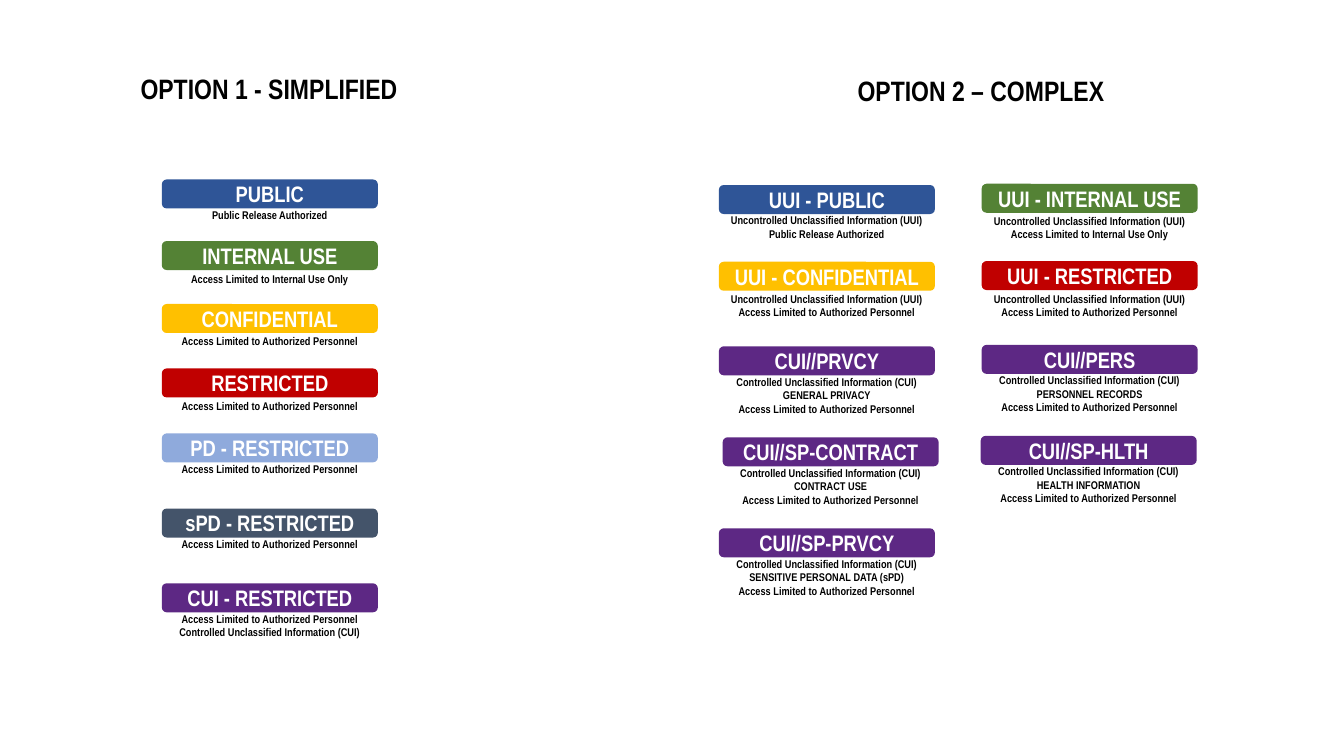
from dataclasses import dataclass

from pptx import Presentation
from pptx.dml.color import RGBColor
from pptx.enum.shapes import MSO_SHAPE
from pptx.enum.text import MSO_ANCHOR, MSO_AUTO_SIZE, PP_ALIGN
from pptx.util import Pt

ROUNDED = MSO_SHAPE.ROUNDED_RECTANGLE
TOP, MIDDLE = MSO_ANCHOR.TOP, MSO_ANCHOR.MIDDLE
NO_FIT = MSO_AUTO_SIZE.NONE
LEFT, CENTER = PP_ALIGN.LEFT, PP_ALIGN.CENTER

FONT = "Arial Narrow"
BLACK = RGBColor(0x00, 0x00, 0x00)
WHITE = RGBColor(0xFF, 0xFF, 0xFF)
BLUE = RGBColor(0x2F, 0x55, 0x97)
GREEN = RGBColor(0x54, 0x82, 0x35)
AMBER = RGBColor(0xFF, 0xC0, 0x00)
RED = RGBColor(0xC0, 0x00, 0x00)
LIGHT_BLUE = RGBColor(0x8F, 0xAA, 0xDC)
SLATE = RGBColor(0x44, 0x54, 0x6A)
PURPLE = RGBColor(0x5D, 0x28, 0x84)

LABEL_W, BAR_H = 154.3, 20.7
NOTE_PAD, NOTE_LINE = 7.6, 9.5

PUBLIC = "Public Release Authorized"
INTERNAL = "Access Limited to Internal Use Only"
PERSONNEL = "Access Limited to Authorized Personnel"
UUI = "Uncontrolled Unclassified Information (UUI)"
CUI = "Controlled Unclassified Information (CUI)"


@dataclass
class Label:
    """A marking: bar top, note top, name, bar colour, note lines, shift."""
    top: float
    note_top: float
    name: str
    color: RGBColor
    notes: tuple
    shift: float = 0


SIMPLIFIED = [
    Label(128.2, 145.2, "PUBLIC", BLUE, (PUBLIC,)),
    Label(172.2, 190.9, "INTERNAL USE", GREEN, (INTERNAL,)),
    Label(217.2, 235.3, "CONFIDENTIAL", AMBER, (PERSONNEL,)),
    Label(263.2, 281.7, "RESTRICTED", RED, (PERSONNEL,)),
    Label(309.6, 326.7, "PD - RESTRICTED", LIGHT_BLUE, (PERSONNEL,)),
    Label(363.3, 380.2, "sPD - RESTRICTED", SLATE, (PERSONNEL,)),
    Label(416.7, 433.5, "CUI - RESTRICTED", PURPLE, (PERSONNEL, CUI)),
]
COMPLEX_LEFT = [
    Label(132.2, 149.2, "UUI - PUBLIC", BLUE, (UUI, PUBLIC)),
    Label(187, 205, "UUI - CONFIDENTIAL", AMBER, (UUI, PERSONNEL)),
    Label(247.4, 264.4, "CUI//PRVCY", PURPLE,
          (CUI, "GENERAL PRIVACY", PERSONNEL)),
    Label(312.4, 329.4, "CUI//SP-CONTRACT", PURPLE,
          (CUI, "CONTRACT USE", PERSONNEL), 2.7),
    Label(377.4, 394.4, "CUI//SP-PRVCY", PURPLE,
          (CUI, "SENSITIVE PERSONAL DATA (sPD)", PERSONNEL)),
]
COMPLEX_RIGHT = [
    Label(131.3, 149.5, "UUI - INTERNAL USE", GREEN, (UUI, INTERNAL)),
    Label(186.5, 205, "UUI - RESTRICTED", RED, (UUI, PERSONNEL)),
    Label(246.4, 263.3, "CUI//PERS", PURPLE,
          (CUI, "PERSONNEL RECORDS", PERSONNEL)),
    Label(311.4, 328.4, "CUI//SP-HLTH", PURPLE,
          (CUI, "HEALTH INFORMATION", PERSONNEL), -0.7),
]


def write(s, lines, size, color, anchor=TOP, align=CENTER, wrap=True):
    """Fill a shape with bold lines of text."""
    tf = s.text_frame
    tf.word_wrap = wrap
    tf.auto_size = NO_FIT
    tf.vertical_anchor = anchor
    for i, line in enumerate(lines):
        p = tf.paragraphs[0] if i == 0 else tf.add_paragraph()
        p.alignment = align
        p.space_before = Pt(0)
        r = p.add_run()
        r.text = line
        r.font.name = FONT
        r.font.size = Pt(size)
        r.font.bold = True
        r.font.color.rgb = color


def add_heading(s, text, x, y, w, h, align):
    """Place an option heading in its placeholder."""
    s.left, s.top, s.width, s.height = Pt(x), Pt(y), Pt(w), Pt(h)
    write(s, [text], 20, BLACK, align=align, wrap=False)


def add_label(slide, label, x):
    """Group a coloured bar with its note at the given left edge."""
    group = slide.shapes.add_group_shape()
    left, width = Pt(x + label.shift), Pt(LABEL_W)
    note_h = NOTE_PAD + NOTE_LINE * len(label.notes)
    note = group.shapes.add_textbox(left, Pt(label.note_top), width, Pt(note_h))
    write(note, label.notes, 8, BLACK)
    bar = group.shapes.add_shape(ROUNDED, left, Pt(label.top), width, Pt(BAR_H))
    bar.shadow.inherit = False
    bar.fill.solid()
    bar.fill.fore_color.rgb = label.color
    bar.line.fill.background()
    write(bar, [label.name], 16, WHITE, MIDDLE)


def add_column(slide, labels, x):
    """Place one column of markings."""
    for label in labels:
        add_label(slide, label, x)


def build_options_slide(prs):
    """Build the comparison of the two marking options."""
    slide = prs.slides.add_slide(prs.slide_layouts[4])
    title, second, *unused = slide.placeholders
    for s in unused:
        s.element.getparent().remove(s.element)
    add_heading(title, "OPTION 1 - SIMPLIFIED", 93.2, 47.5, 199.4, 31.5, LEFT)
    add_heading(second, "OPTION 2 – COMPLEX", 604.6, 49, 192.2, 31.5, CENTER)
    add_column(slide, SIMPLIFIED, 115.6)
    add_column(slide, COMPLEX_LEFT, 513.5)
    add_column(slide, COMPLEX_RIGHT, 701.2)


def main():
    """Create and save the presentation."""
    prs = Presentation()
    prs.slide_width, prs.slide_height = Pt(960), Pt(540)
    build_options_slide(prs)
    prs.save("out.pptx")


if __name__ == "__main__":
    main()
